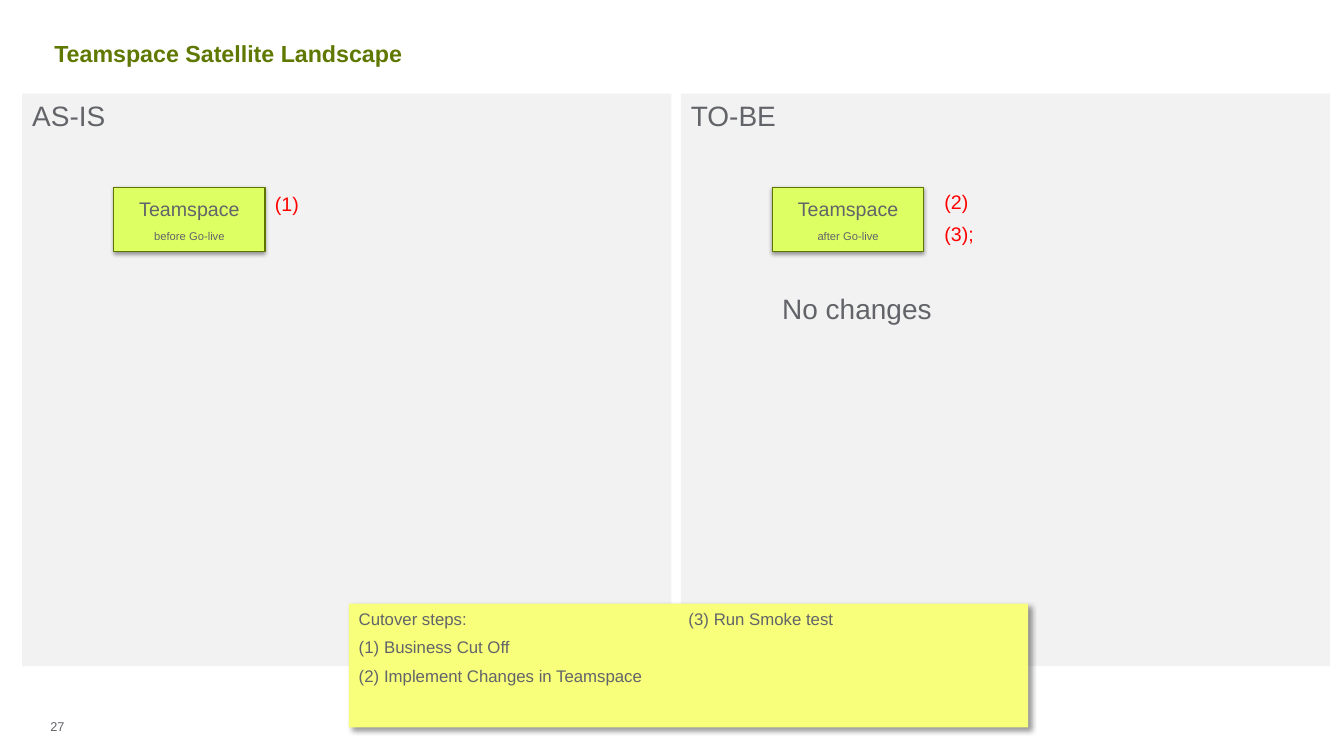
from dataclasses import dataclass

import pptx
import pptx.dml.color
import pptx.enum.shapes
import pptx.enum.text
import pptx.oxml.ns
import pptx.util
from lxml import etree
from pptx.util import Cm, Pt

ALIGN = pptx.enum.text.PP_ALIGN
ANCHOR = pptx.enum.text.MSO_ANCHOR
qn = pptx.oxml.ns.qn


@dataclass(frozen=True)
class Theme:
    font: str = "Arial"
    text: str = "626469"
    title: str = "5F7800"
    marker: str = "FF0000"
    panel: str = "F2F2F2"
    system: str = "DEFF63"
    system_line: str = "5D7500"
    note: str = "F8FF7B"
    heading_size: float = 20
    title_size: float = 16.6
    system_size: float = 14
    step_size: float = 12
    page_size: float = 9.1
    caption_size: float = 8


THEME = Theme()
TO_BE_OFFSET = 16.6


def rgb(value):
    return pptx.dml.color.RGBColor.from_string(value)


def write(sp, lines, sizes, color=THEME.text, align=ALIGN.LEFT,
          anchor=ANCHOR.TOP, bold=False, space_after=6):
    """Fill a shape with paragraphs, one type size for each line."""
    tf = sp.text_frame
    tf.word_wrap = True
    tf.vertical_anchor = anchor
    tf.text = "\n".join(lines)
    for p, size in zip(tf.paragraphs, sizes):
        p.alignment = align
        p.space_after = Pt(space_after)
        for r in p.runs:
            r.font.name = THEME.font
            r.font.size = Pt(size)
            r.font.bold = bold
            r.font.color.rgb = rgb(color)
    return tf


def add_label(s, box, lines, size, **style):
    sp = s.shapes.add_textbox(*map(Cm, box))
    return write(sp, lines, [size] * len(lines), **style)


def add_box(s, box, fill, line=None):
    sp = s.shapes.add_shape(pptx.enum.shapes.MSO_SHAPE.RECTANGLE, *map(Cm, box))
    sp.shadow.inherit = False
    sp.fill.solid()
    sp.fill.fore_color.rgb = rgb(fill)
    if line:
        sp.line.color.rgb = rgb(line)
        sp.line.width = Pt(0.75)
    else:
        sp.line.fill.background()
    return sp


def add_shadow(sp, opacity, blur, distance, angle):
    effects = sp._element.spPr.find(qn("a:effectLst"))
    shadow = etree.SubElement(
        effects, qn("a:outerShdw"), blurRad=str(Pt(blur)), dist=str(Pt(distance)),
        dir=str(angle * 60000), algn="tl", rotWithShape="0")
    color = etree.SubElement(shadow, qn("a:srgbClr"), val="000000")
    etree.SubElement(color, qn("a:alpha"), val=str(opacity * 1000))


def add_panel(s, x, heading):
    sp = add_box(s, (x, 2.36, 16.36, 14.43), THEME.panel)
    write(sp, [heading], [THEME.heading_size])


def add_system(s, x, caption):
    sp = add_box(s, (x, 4.72, 3.81, 1.63), THEME.system, THEME.system_line)
    add_shadow(sp, 38, 3.1, 1.6, 90)
    write(sp, ["Teamspace", caption], [THEME.system_size, THEME.caption_size],
          align=ALIGN.CENTER, anchor=ANCHOR.MIDDLE)


def number(p):
    """Number a paragraph as (1), (2), ... with a hanging indent."""
    pPr = p._p.get_or_add_pPr()
    pPr.set("marL", str(Cm(0.64)))
    pPr.set("indent", str(Cm(-0.64)))
    etree.SubElement(pPr, qn("a:buFont"), typeface=THEME.font)
    etree.SubElement(pPr, qn("a:buAutoNum"), type="arabicParenBoth")


def add_cutover_steps(s, heading, steps):
    """Two-column note; the bottom inset leaves three lines to a column."""
    sp = add_box(s, (8.79, 15.21, 17.12, 3.12), THEME.note)
    add_shadow(sp, 40, 4, 3, 45)
    lines = [heading, *steps]
    tf = write(sp, lines, [THEME.step_size] * len(lines))
    tf.margin_bottom = Cm(0.7)
    tf._txBody.bodyPr.set("numCol", "2")
    for p in tf.paragraphs[1:]:
        number(p)


def add_title(s, title):
    tf = add_label(s, (1.37, 0.25, 31.32, 2.26), [title], THEME.title_size,
                   color=THEME.title, anchor=ANCHOR.MIDDLE, bold=True,
                   space_after=0)
    tf.margin_left = tf.margin_right = tf.margin_top = tf.margin_bottom = 0
    tf.paragraphs[0].line_spacing = 0.9


def add_page_number(s, page):
    tf = add_label(s, (1.09, 18.01, 2.06, 1.04), [page], THEME.page_size,
                   space_after=4.5)
    tf.margin_left = tf.margin_right = Cm(0.18)
    tf.margin_top = tf.margin_bottom = Cm(0.1)


def main():
    prs = pptx.Presentation()
    prs.slide_width, prs.slide_height = Cm(33.87), Cm(19.05)
    s = prs.slides.add_slide(prs.slide_layouts[6])

    add_page_number(s, "27")
    sides = [("AS-IS", "before Go-live"), ("TO-BE", "after Go-live")]
    for i, (heading, caption) in enumerate(sides):
        add_panel(s, 0.56 + i * TO_BE_OFFSET, heading)
        add_system(s, 2.87 + i * TO_BE_OFFSET, caption)

    add_label(s, (23.55, 4.67, 1.5, 2.9), ["(2)", "(3);"],
              THEME.system_size, color=THEME.marker)
    add_cutover_steps(s, "Cutover steps:", [
        "Business Cut Off",
        "Implement Changes in Teamspace",
        "Run Smoke test",
    ])
    add_title(s, "Teamspace Satellite Landscape")
    add_label(s, (6.68, 4.72, 1.5, 0.84), ["(1)"],
              THEME.system_size, color=THEME.marker)
    add_label(s, (19.46, 7.21, 5.21, 1.35), ["No changes"], THEME.heading_size)

    prs.save("out.pptx")


if __name__ == "__main__":
    main()
